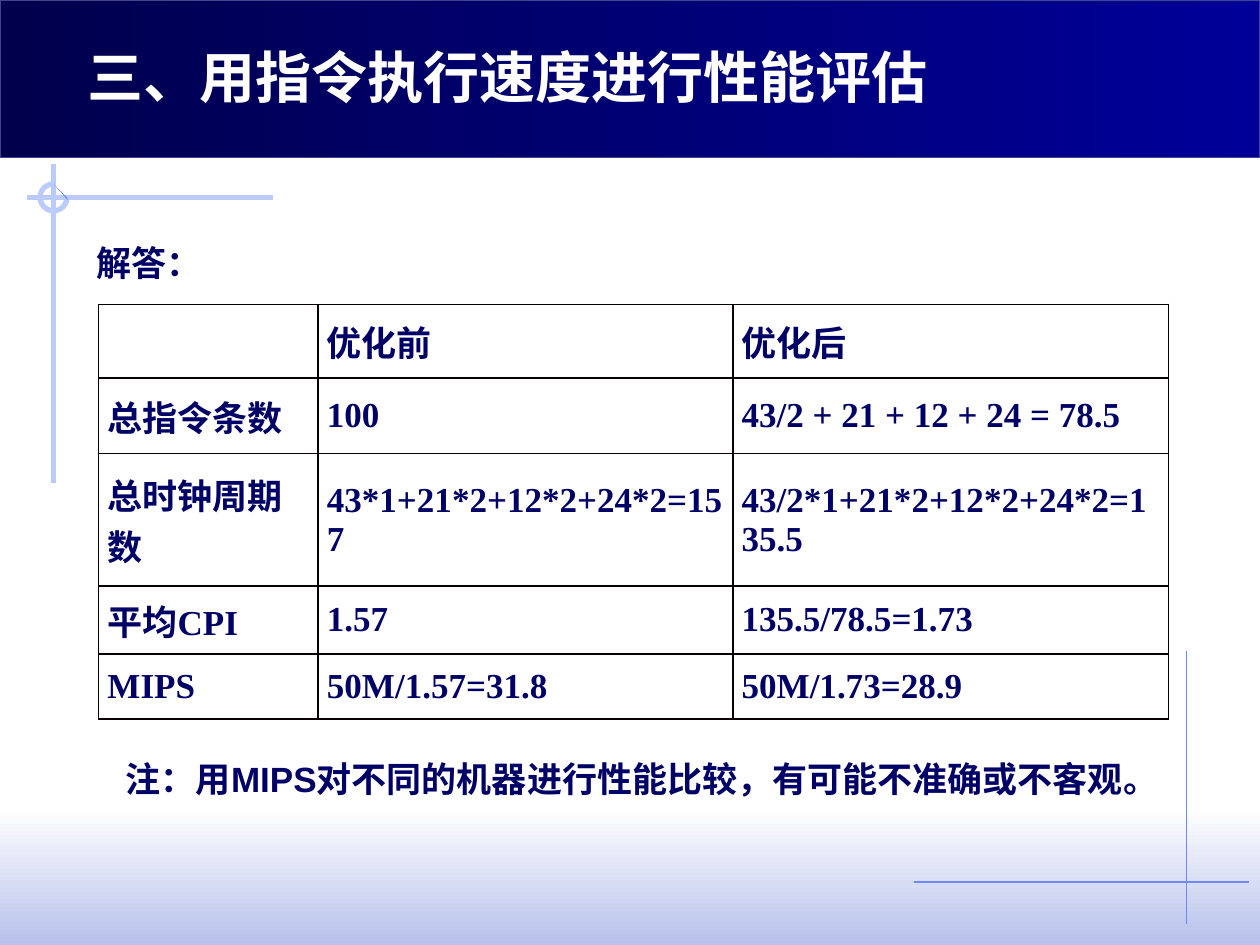
from dataclasses import dataclass

from lxml import etree
from pptx import Presentation
from pptx.dml.color import RGBColor
from pptx.enum.shapes import MSO_CONNECTOR, MSO_SHAPE
from pptx.enum.text import MSO_ANCHOR, PP_ALIGN
from pptx.oxml.ns import qn
from pptx.util import Inches, Pt

RECT, ARC = MSO_SHAPE.RECTANGLE, MSO_SHAPE.ARC
STRAIGHT = MSO_CONNECTOR.STRAIGHT
MIDDLE, TOP = MSO_ANCHOR.MIDDLE, MSO_ANCHOR.TOP
LEFT = PP_ALIGN.LEFT


@dataclass(frozen=True)
class Theme:
    """Colours, fonts and type sizes of the deck."""
    white: str = "FFFFFF"
    ink: str = "000066"
    night: str = "00004D"
    navy: str = "000099"
    rim: str = "40458C"
    mist: str = "B7C1EB"
    pale: str = "BBCBFD"
    blue: str = "6F89F7"
    grid: str = "080000"
    head: str = "Noto Sans CJK JP"
    han: str = "Noto Sans CJK SC"
    sans: str = "Arial"
    serif: str = "Times New Roman"
    big: int = 32
    body: int = 20
    thick: float = 3
    thin: float = 0.75
    rule: float = 1


def unit(n):
    """Turn grid steps, twelve to the inch, into a length."""
    return Inches(n / 12)


def rgb(code):
    """Turn a hex code into a colour."""
    return RGBColor.from_string(code)


class Board:
    """Draws styled elements on the current slide."""

    def __init__(self, slide, theme):
        """Keep the slide and its style."""
        self.slide, self.theme = slide, theme
        self.shapes = slide.shapes

    def run(self, para, text, font, size, color, han):
        """Add one bold run to a paragraph."""
        run = para.add_run()
        run.text = text
        run.font.name, run.font.size, run.font.bold = font, Pt(size), True
        run.font.color.rgb = rgb(color)
        etree.SubElement(run.font._element, qn("a:ea"), typeface=han)

    def title(self, text, box):
        """Place and format the title above the band."""
        t, shape = self.theme, self.shapes.title
        shape.left, shape.top, shape.width, shape.height = map(unit, box)
        shape._element.getparent().append(shape._element)
        frame = shape.text_frame
        frame.vertical_anchor, frame.word_wrap = MIDDLE, True
        para = frame.paragraphs[0]
        para.alignment = LEFT
        self.run(para, text, t.head, t.big, t.white, t.head)

    def text(self, text, box, inset=0):
        """Add a line of body text with an optional left indent."""
        t = self.theme
        frame = self.shapes.add_textbox(*map(unit, box)).text_frame
        frame.word_wrap, frame.vertical_anchor = True, TOP
        para = frame.paragraphs[0]
        para.line_spacing = 1.5
        if inset:
            para._p.get_or_add_pPr().set("marL", str(unit(inset)))
        self.run(para, text, t.sans, t.body, t.ink, t.han)

    def band(self, box, start, end, angle, edge=None):
        """Add a rectangle with a two-colour gradient."""
        shape = self.shapes.add_shape(RECT, *map(unit, box))
        shape.shadow.inherit = False
        shape.fill.gradient()
        shape.fill.gradient_angle = angle
        for stop, color in zip(shape.fill.gradient_stops, (start, end)):
            stop.color.rgb = rgb(color)
        if edge:
            self.stroke(shape.line, edge, self.theme.thin)
        else:
            shape.line.fill.background()

    def stroke(self, line, color, width):
        """Set the colour and width of a line."""
        line.color.rgb, line.width = rgb(color), Pt(width)

    def line(self, ends, color, width):
        """Add a straight line without a shadow."""
        link = self.shapes.add_connector(STRAIGHT, *map(unit, ends))
        self.stroke(link.line, color, width)
        etree.SubElement(link._element.spPr, qn("a:effectLst"))

    def ring(self, x, y, radius):
        """Add a three-quarter ring with a sliver at its open side."""
        t = self.theme
        box = (x - radius, y - radius, 2 * radius, 2 * radius)
        arc = self.shapes.add_shape(ARC, *map(unit, box))
        arc.shadow.inherit = False
        arc.fill.background()
        arc.adjustments[0], arc.adjustments[1] = 0, 162
        self.stroke(arc.line, t.pale, t.thick)
        pen = self.shapes.build_freeform(unit(x), unit(y - radius))
        side = x + radius
        pen.add_line_segments([(unit(side), unit(y)),
                               (unit(side + 0.1), unit(y + 0.3))])
        sliver = pen.convert_to_shape()
        sliver.shadow.inherit = False
        sliver.fill.solid()
        sliver.fill.fore_color.rgb = rgb(t.blue)
        sliver.line.fill.background()

    def frame(self, cell):
        """Rule all four sides of a cell."""
        props = cell._tc.get_or_add_tcPr()
        for rank, side in enumerate(("lnL", "lnR", "lnT", "lnB")):
            edge = etree.Element(qn("a:" + side), w=str(Pt(self.theme.rule)))
            fill = etree.SubElement(edge, qn("a:solidFill"))
            etree.SubElement(fill, qn("a:srgbClr"), val=self.theme.grid)
            props.insert(rank, edge)

    def table(self, left, top, cols, rows, data):
        """Add a ruled table whose cells are lists of runs."""
        t = self.theme
        box = (left, top, sum(cols), sum(rows))
        grid = self.shapes.add_table(len(rows), len(cols),
                                     *map(unit, box)).table
        grid.first_row = grid.horz_banding = False
        for col, width in zip(grid.columns, cols):
            col.width = unit(width)
        for row, height, line in zip(grid.rows, rows, data):
            row.height = unit(height)
            for cell, parts in zip(row.cells, line):
                cell.margin_left = cell.margin_right = Inches(0.07)
                cell.margin_top = cell.margin_bottom = 0
                cell.vertical_anchor = MIDDLE
                cell.fill.background()
                self.frame(cell)
                para = cell.text_frame.paragraphs[0]
                for part in parts:
                    font = t.serif if part.isascii() else t.han
                    self.run(para, part, font, t.body, t.ink, t.han)


DATA = [
    [[], ["优化前"], ["优化后"]],
    [["总指令条数"], ["100"], ["43/2 + 21 + 12 + 24 = 78.5"]],
    [["总时钟周期数"], ["43*1+21*2+12*2+24*2=157"],
     ["43/2*1+21*2+12*2+24*2=135.5"]],
    [["平均", "CPI"], ["1.57"], ["135.5/78.5=1.73"]],
    [["MIPS"], ["50M/1.57=31.8"], ["50M/1.73=28.9"]],
]


def main():
    """Build the slide and save it."""
    deck = Presentation()
    deck.slide_width, deck.slide_height = unit(120), unit(90)
    t = Theme()
    board = Board(deck.slides.add_slide(deck.slide_layouts[5]), t)
    board.band((0, 77, 120, 13), t.white, t.mist, 270)
    board.line((113, 62, 113, 88), t.blue, t.thin)
    board.line((26, 18.8, 2.6, 18.8), t.pale, t.thick)
    board.line((5.1, 15.6, 5.1, 46), t.pale, t.thick)
    board.ring(5.1, 18.8, 1.28)
    board.band((0, 0, 120, 15), t.night, t.navy, 0, t.rim)
    board.line((87, 84, 119, 84), t.blue, t.thin)
    board.title("三、用指令执行速度进行性能评估", (7.1, 3.4, 95.4, 7.7))
    board.text("解答：", (8, 20.4, 103, 9.6))
    board.text("注：用MIPS对不同的机器进行性能比较，有可能不准确或不客观。",
               (9, 69.6, 101.4, 9.6), 1.8)
    board.table(9.4, 29, (20.9, 39.5, 41.5), (7, 7.2, 12.6, 6.5, 6.2), DATA)
    deck.save("out.pptx")


if __name__ == "__main__":
    main()
